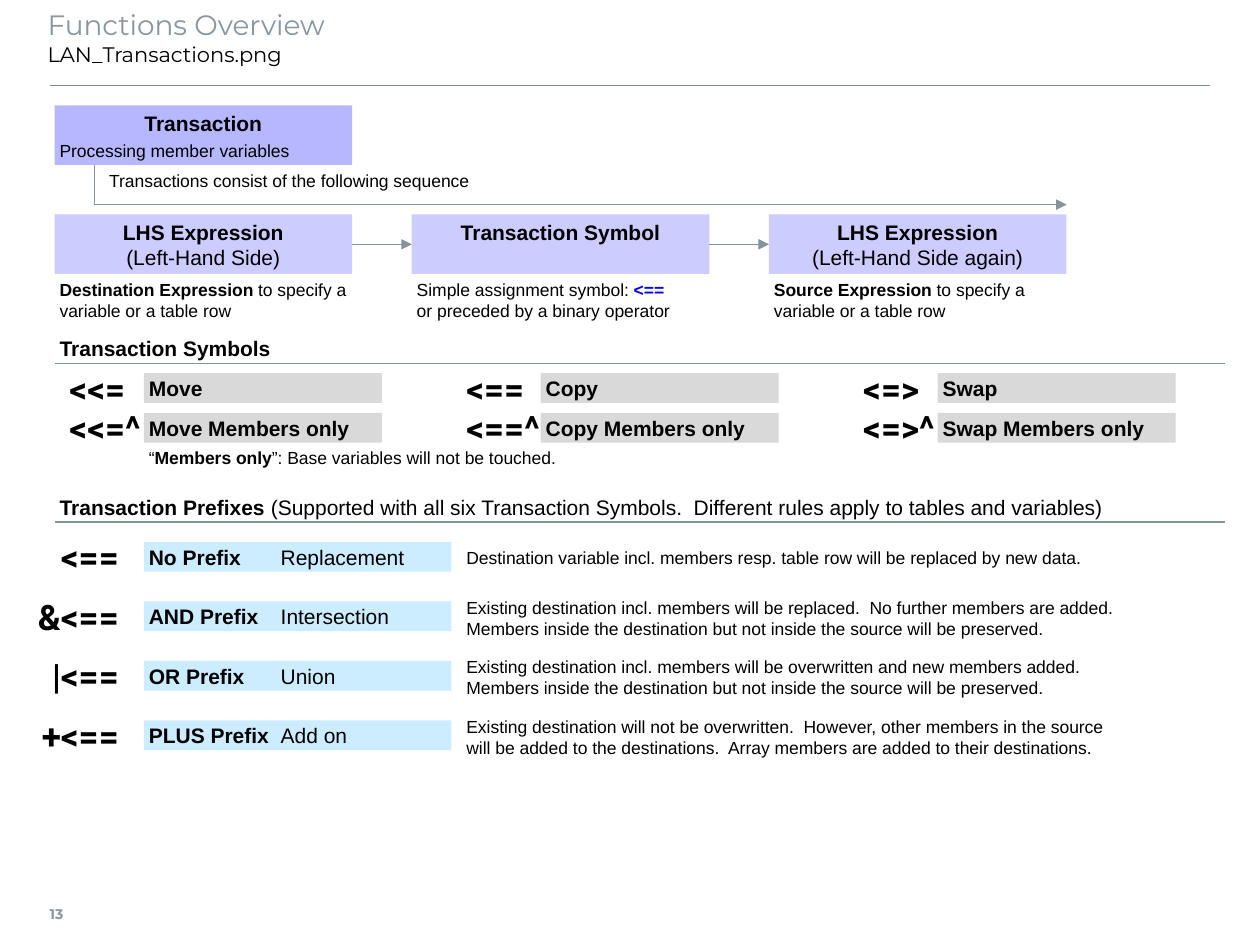
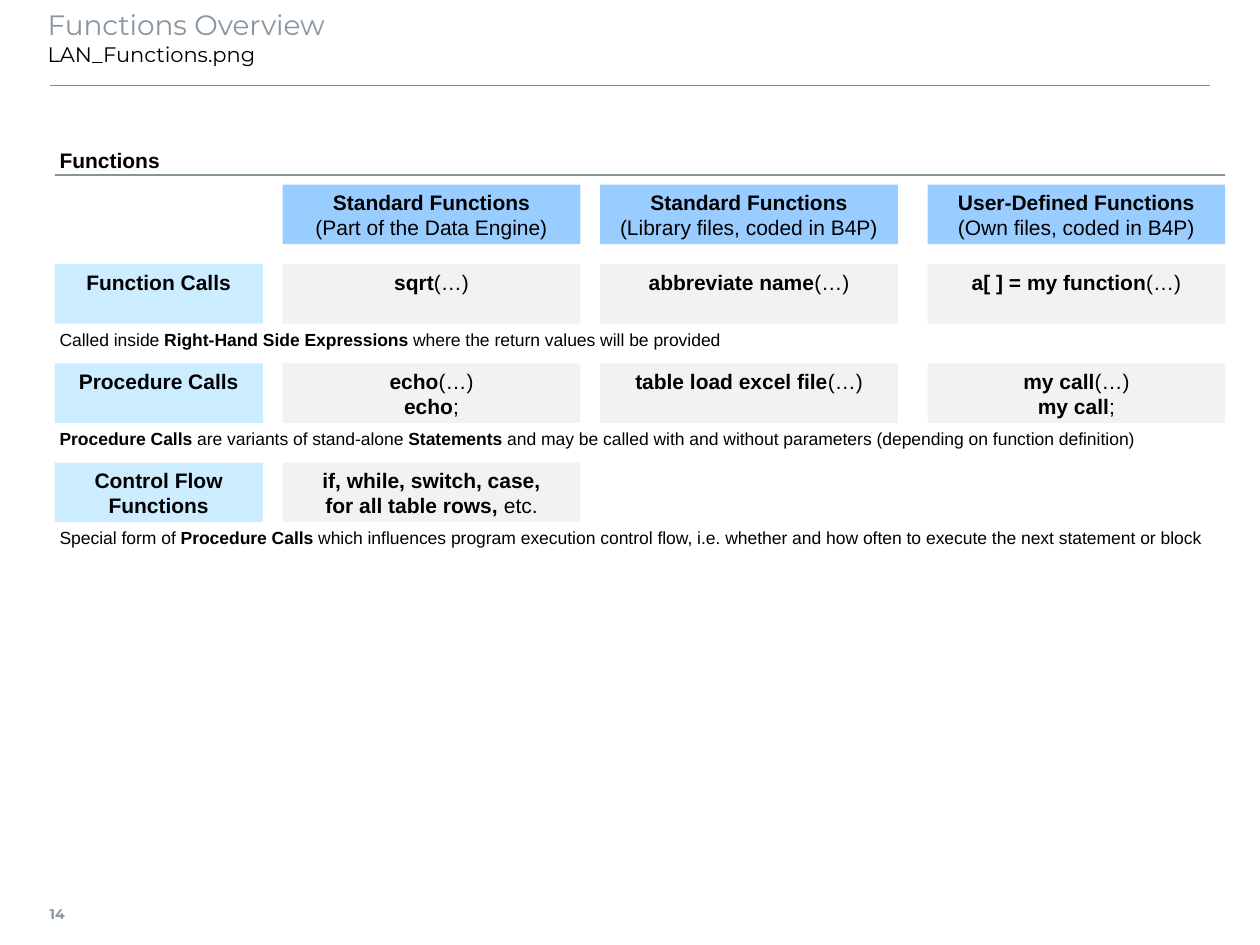
from lxml import etree
from pptx import Presentation
from pptx.dml.color import RGBColor
from pptx.enum.shapes import MSO_CONNECTOR, MSO_SHAPE
from pptx.enum.text import MSO_ANCHOR, MSO_AUTO_SIZE, PP_ALIGN
from pptx.oxml.ns import qn
from pptx.util import Inches, Mm, Pt

RECT = MSO_SHAPE.RECTANGLE
STRAIGHT = MSO_CONNECTOR.STRAIGHT
TOP, MID = MSO_ANCHOR.TOP, MSO_ANCHOR.MIDDLE
LEFT, CENTER, RIGHT = PP_ALIGN.LEFT, PP_ALIGN.CENTER, PP_ALIGN.RIGHT
FIXED = MSO_AUTO_SIZE.NONE

CELL = Mm(2)
EDGE, HEAD = Mm(11), Mm(21.25)
WIDE = 118
BODY, BRAND, CODE = "Arial", "Montserrat", "Roboto"
BLACK, BLUE, SLATE, RULE, STEEL = "000000", "0000FF", "8996A0", "808D97", "85939D"
VIOLET, LILAC, SILVER, PALE = "B7B7FF", "CCCCFF", "D9D9D9", "F2F2F2"
SKY, ICE = "99CCFF", "CCECFF"


def tint(code):
    return RGBColor.from_string(code)


class Deck:
    def __init__(self):
        self.show = Presentation()
        self.show.slide_width, self.show.slide_height = Inches(10), Inches(7.5)
        self.slide = None

    def spot(self, col, row):
        return EDGE + int(col * CELL), HEAD + int(row * CELL)

    def area(self, col, row, cols, rows):
        return (*self.spot(col, row), int(cols * CELL), int(rows * CELL))

    def page(self, name, number):
        self.slide = self.show.slides.add_slide(self.show.slide_layouts[5])
        title = self.slide.shapes.title
        title.left, title.top, title.width, title.height = self.area(-0.7, -10.5, 117, 8)
        self.label(title, f"Functions Overview\n{name}", 16, SLATE, BRAND, pad=(0, 0.05, 0.1, 0.05))
        title.text_frame.word_wrap = True
        sub = title.text_frame.paragraphs[1].font
        sub.size, sub.color.rgb = Pt(12), tint(BLACK)
        self.line((-0.5, -2), (116.5, -2), RULE, 1)
        self.text((-0.5, 79, 4.5, 5), f"*{number}*", 8, SLATE, BRAND, anchor=MID,
                  pad=(0, 0.05, 0.08, 0.05))

    def label(self, shape, text, size, color=BLACK, face=BODY, align=LEFT, anchor=TOP,
              pad=(0.04,) * 4):
        frame = shape.text_frame
        frame.auto_size, frame.word_wrap = FIXED, False
        frame.vertical_anchor = anchor
        (frame.margin_left, frame.margin_top,
         frame.margin_right, frame.margin_bottom) = map(Inches, pad)
        for index, row in enumerate(text.split("\n")):
            para = frame.add_paragraph() if index else frame.paragraphs[0]
            para.alignment = align
            font = para.font
            font.name, font.size, font.color.rgb = face, Pt(size), tint(color)
            parts = row.split("*")
            whole = len(parts) == 3 and not parts[0] + parts[2]
            font.bold = whole
            for place, part in enumerate(parts):
                if part:
                    run = para.add_run()
                    run.text = part
                    if place % 2 and not whole:
                        run.font.bold = True

    def text(self, area, text, size=10, *style, **more):
        box = self.slide.shapes.add_textbox(*self.area(*area))
        self.label(box, text, size, *style, **more)
        return box

    def block(self, area, text, fill, align=CENTER, anchor=TOP):
        box = self.slide.shapes.add_shape(RECT, *self.area(*area))
        box.shadow.inherit = False
        box.fill.solid()
        box.fill.fore_color.rgb = tint(fill)
        box.line.fill.background()
        self.label(box, text, 12, align=align, anchor=anchor)
        return box

    def bar(self, area, text, fill):
        return self.block(area, text, fill, LEFT, MID)

    def line(self, start, end, color=STEEL, width=0.75, arrow=False):
        wire = self.slide.shapes.add_connector(STRAIGHT, *self.spot(*start), *self.spot(*end))
        wire.line.color.rgb, wire.line.width = tint(color), Pt(width)
        props = wire.element.spPr
        etree.SubElement(props, qn("a:effectLst"))
        if arrow:
            etree.SubElement(props.find(qn("a:ln")), qn("a:tailEnd"), type="triangle")
        return wire

    def join(self, first, last):
        wire = self.line((0, 0), (1, 1), arrow=True)
        wire.begin_connect(first, 3)
        wire.end_connect(last, 1)

    def section(self, row, text):
        self.text((0, row, 31, 3), text, 12, anchor=MID)
        self.line((0, row + 3), (WIDE, row + 3))


def draw_moves(deck):
    deck.page("LAN_Transactions.png", 13)
    deck.line((4, 10), (102, 10), arrow=True)
    deck.line((4, 6), (4, 10))
    deck.block((0, 0, 30, 6), "*Transaction*", VIOLET)
    deck.text((0, 3, 30, 3), "Processing member variables")
    deck.text((5, 6, 31, 3), "Transactions consist of the following sequence")

    steps = [
        ("*LHS Expression*\n(Left-Hand Side)",
         "*Destination Expression* to specify a\nvariable or a table row"),
        ("*Transaction Symbol*",
         "Simple assignment symbol: *<==*\nor preceded by a binary operator"),
        ("*LHS Expression*\n(Left-Hand Side again)",
         "*Source Expression *to specify a\nvariable or a table row"),
    ]
    boxes, notes = [], []
    for index, (label, note) in enumerate(steps):
        boxes.append(deck.block((36 * index, 11, 30, 6), label, LILAC))
        notes.append(deck.text((36 * index, 17, 30, 5), note))
    notes[1].text_frame.paragraphs[0].runs[-1].font.color.rgb = tint(BLUE)
    for first, last in zip(boxes, boxes[1:]):
        deck.join(first, last)

    deck.section(23, "*Transaction Symbols*")
    for index, (sign, verb) in enumerate([("<<=", "Move"), ("<==", "Copy"), ("<=>", "Swap")]):
        col = 40 * index
        for row, mark, more in [(27, "", ""), (31, "^", " Members only")]:
            deck.bar((col + 9, row, 24, 3), f"*{verb}{more}*", SILVER)
            deck.text((col + 1, row, 8, 3), f"*{sign}{mark}*", 20, face=CODE, anchor=MID)
    deck.text((9, 34, 67, 3), "“*Members only*”: Base variables will not be touched.", anchor=MID)

    deck.section(39, "*Transaction Prefixes *(Supported with all six Transaction Symbols.  "
                     "Different rules apply to tables and variables)")
    kept = "Members inside the destination but not inside the source will be preserved."
    rules = [
        ("", "No", "Replacement",
         "Destination variable incl. members resp. table row will be replaced by new data."),
        ("&", "AND", "Intersection",
         "Existing destination incl. members will be replaced.  "
         f"No further members are added.\n{kept}"),
        ("|", "OR", "Union",
         "Existing destination incl. members will be overwritten "
         f"and new members added.\n{kept}"),
        ("+", "PLUS", "Add on",
         "Existing destination will not be overwritten.  However, other members in the source\n"
         "will be added to the destinations.  Array members are added to their destinations."),
    ]
    for index, (sign, name, effect, note) in enumerate(rules):
        row = 44 + 6 * index
        deck.bar((9, row, 31, 3), f"*{name} Prefix\t *{effect}", ICE)
        deck.text((0, row, 7, 3), f"*{sign}<==*", 20, face=CODE, align=RIGHT, anchor=MID)
        deck.text((41, row - note.count("\n"), 31, 3), note)


def draw_calls(deck):
    deck.page("LAN_Functions.png", 14)
    deck.section(4, "*Functions*")
    cols = [23, 55, 88]
    heads = [
        "*Standard Functions*\n(Part of the Data Engine)",
        "*Standard Functions*\n(Library files, coded in B4P)",
        "*User-Defined Functions*\n(Own files, coded in B4P)",
    ]
    for col, head in zip(cols, heads):
        deck.block((col, 8, 30, 6), head, SKY)

    kinds = [
        ("*Function Calls*",
         ["*sqrt*(…)", "*abbreviate name*(…)", "*a[ ] = my function*(…)"],
         "Called inside *Right-Hand Side Expressions *where the return values will be provided"),
        ("*Procedure Calls*",
         ["*echo*(…)\n*echo*;", "*table load excel file*(…)", "*my call*(…)\n*my call*;"],
         "*Procedure Calls *are variants of stand-alone *Statements *and may be called "
         "with and without parameters (depending on function definition)"),
        ("*Control Flow*\n*Functions*",
         ["*if, while, switch, case,*\n*for all table rows, *etc."],
         "Special form of *Procedure Calls* which influences program execution control flow, "
         "i.e. whether and how often to execute the next statement or block"),
    ]
    for index, (label, calls, note) in enumerate(kinds):
        row = 16 + 10 * index
        deck.block((0, row, 21, 6), label, ICE)
        for col, call in zip(cols, calls):
            deck.block((col, row, 30, 6), call, PALE)
        deck.text((0, row + 6, WIDE, 3), note)


def main():
    deck = Deck()
    draw_moves(deck)
    draw_calls(deck)
    deck.show.save("out.pptx")


if __name__ == "__main__":
    main()
